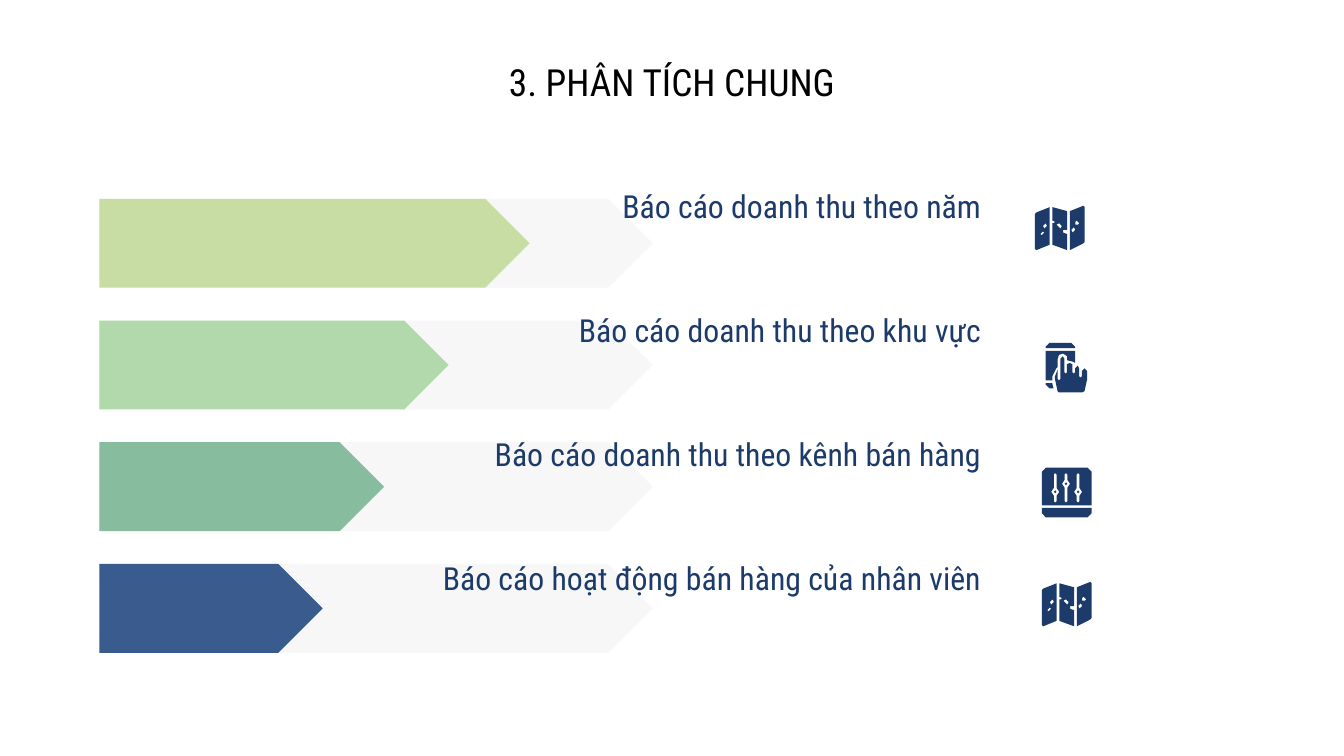
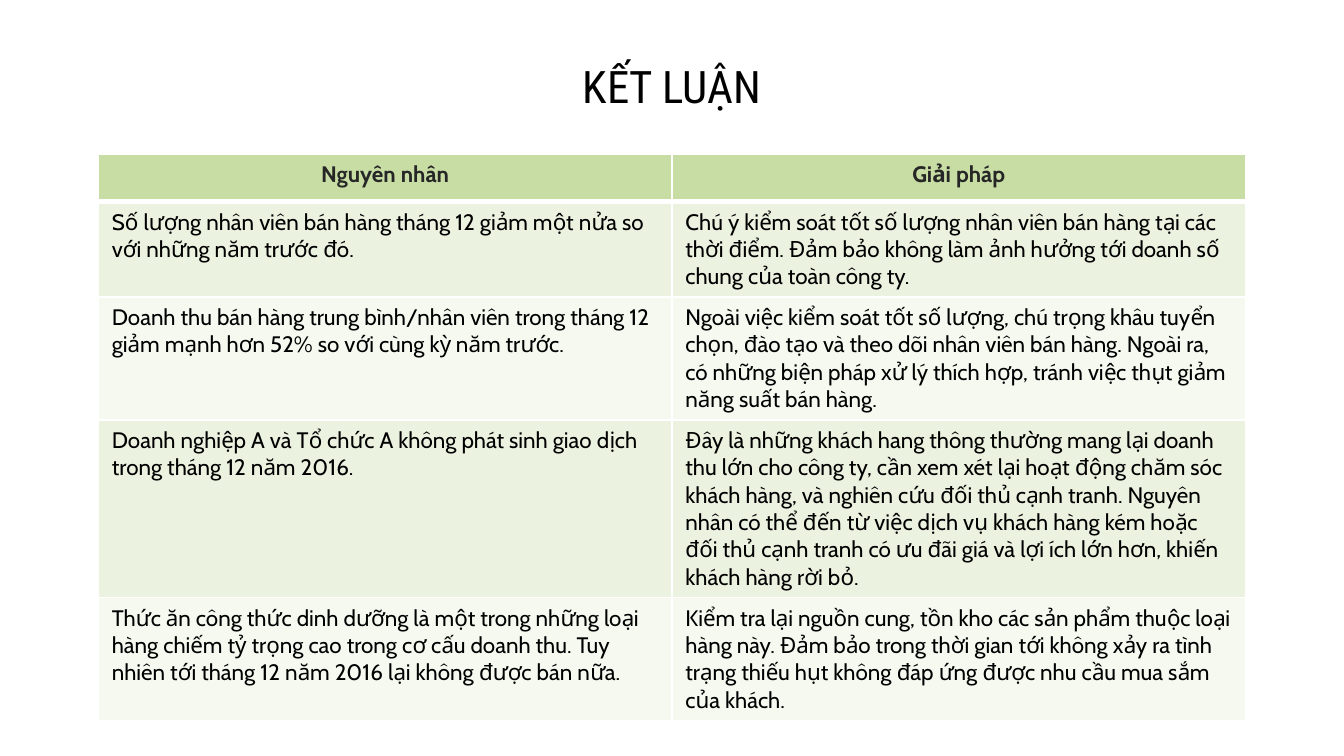
from lxml import etree
from pptx import Presentation
from pptx.dml.color import RGBColor
from pptx.enum.shapes import MSO_SHAPE
from pptx.enum.text import MSO_ANCHOR, MSO_AUTO_SIZE, PP_ALIGN
from pptx.oxml.ns import qn
from pptx.util import Cm, Pt

ARROW = MSO_SHAPE.PENTAGON
TOP, MIDDLE = MSO_ANCHOR.TOP, MSO_ANCHOR.MIDDLE
FIXED = MSO_AUTO_SIZE.NONE
LEFT, CENTER, RIGHT = PP_ALIGN.LEFT, PP_ALIGN.CENTER, PP_ALIGN.RIGHT

BLACK = RGBColor(0x00, 0x00, 0x00)
WHITE = RGBColor(0xFF, 0xFF, 0xFF)
DARK = RGBColor(0x26, 0x26, 0x26)
NAVY = RGBColor(0x1C, 0x3B, 0x6A)
TRACK = RGBColor(0xF7, 0xF7, 0xF7)
LIME = RGBColor(0xC8, 0xDD, 0xA4)
MINT = RGBColor(0xB2, 0xD9, 0xAB)
JADE = RGBColor(0x87, 0xBC, 0x9E)
BLUE = RGBColor(0x39, 0x5B, 0x8E)
BANDS = [RGBColor(0xEB, 0xF2, 0xE0), RGBColor(0xF5, 0xF9, 0xF0)]

HEAD_FONT = "Roboto Condensed"
BODY_FONT = "Cabin"


def slot(x, y):
    return [(x - 1, 5), (x, 4), (x + 1, 5), (x + 1, y - 3), (x + 3, y),
            (x + 1, y + 3), (x + 1, 25), (x, 26), (x - 1, 25),
            (x - 1, y + 3), (x - 3, y), (x - 1, y - 3)]


def knob(x, y):
    return [(x - 1, y), (x, y - 1), (x + 1, y), (x, y + 1)]


KNOBS = [(10, 18), (18, 12), (27, 18)]

MAP = [
    [[(11, 1), (1, 5), (0, 6), (0, 32), (1, 33), (11, 29)],
     [(8, 13), (9, 15), (7, 17), (6, 15)],
     [(6, 19), (7, 20), (5, 22), (4, 21)]],
    [[(13, 1), (13, 11), (15, 12), (14, 13), (13, 13), (13, 29), (24, 33),
      (24, 21), (21, 20), (21, 18), (24, 18), (24, 4)],
     [(18, 13), (20, 15), (19, 17), (18, 16), (16, 14)]],
    [[(36, 0), (26, 4), (26, 33), (36, 28), (37, 27), (37, 1)],
     [(31, 11), (33, 13), (32, 14), (30, 14), (30, 12)],
     [(29, 16), (30, 18), (28, 20), (27, 18)]],
]
PHONE = [
    [[(0, 30), (0, 31), (3, 34), (6, 34), (5, 30)]],
    [[(0, 6), (0, 28), (5, 28), (5, 25), (8, 19), (9, 18), (9, 12),
      (10, 9), (13, 8), (16, 10), (16, 13), (20, 14), (22, 15), (22, 6)]],
    [[(3, 0), (0, 3), (0, 4), (22, 4), (22, 3), (19, 0)]],
    [[(13, 10), (11, 12), (11, 27), (10, 28), (9, 27), (9, 20), (7, 25),
      (7, 27), (9, 36), (10, 37), (27, 37), (29, 36), (31, 27), (31, 21),
      (29, 19), (27, 21), (27, 25), (26, 26), (25, 25), (25, 19), (24, 17),
      (22, 19), (22, 22), (21, 23), (20, 22), (20, 16), (18, 15), (16, 16),
      (16, 22), (15, 23), (14, 22), (14, 12)]],
]
MIXER = [
    [[(0, 30), (0, 34), (3, 37), (34, 37), (37, 34), (37, 30)]],
    [[(3, 0), (0, 3), (0, 28), (37, 28), (37, 3), (34, 0)]]
    + [slot(x, y) for x, y in KNOBS] + [knob(x, y) for x, y in KNOBS],
]

REPORTS = [
    ("Báo cáo doanh thu theo năm", 8.13, LIME, 10.03, MAP, (19.56, 3.89)),
    ("Báo cáo doanh thu theo khu vực", 6.6, MINT, 10.59, PHONE, (19.76, 6.48)),
    ("Báo cáo doanh thu theo kênh bán hàng", 5.38, JADE, 8.74, MIXER,
     (19.69, 8.84)),
    ("Báo cáo hoạt động bán hàng của nhân viên", 4.22, BLUE, 7.29, MAP,
     (19.69, 11)),
]
HEADS = ("Nguyên nhân", "Giải pháp")
CAUSES = [
    ("Số lượng nhân viên bán hàng tháng 12 giảm một nửa so với những năm "
     "trước đó.",
     "Chú ý kiểm soát tốt số lượng nhân viên bán hàng tại các thời điểm. Đảm "
     "bảo không làm ảnh hưởng tới doanh số chung của toàn công ty."),
    ("Doanh thu bán hàng trung bình/nhân viên trong tháng 12 giảm mạnh hơn "
     "52% so với cùng kỳ năm trước.",
     "Ngoài việc kiểm soát tốt số lượng, chú trọng khâu tuyển chọn, đào tạo "
     "và theo dõi nhân viên bán hàng. Ngoài ra, có những biện pháp xử lý "
     "thích hợp, tránh việc thụt giảm năng suất bán hàng."),
    ("Doanh nghiệp A và Tổ chức A không phát sinh giao dịch trong tháng 12 "
     "năm 2016.",
     "Đây là những khách hang thông thường mang lại doanh thu lớn cho công "
     "ty, cần xem xét lại hoạt động chăm sóc khách hàng, và nghiên cứu đối "
     "thủ cạnh tranh. Nguyên nhân có thể đến từ việc dịch vụ khách hàng kém "
     "hoặc đối thủ cạnh tranh có ưu đãi giá và lợi ích lớn hơn, khiến khách "
     "hàng rời bỏ."),
    ("Thức ăn công thức dinh dưỡng là một trong những loại hàng chiếm tỷ "
     "trọng cao trong cơ cấu doanh thu. Tuy nhiên tới tháng 12 năm 2016 lại "
     "không được bán nữa.",
     "Kiểm tra lại nguồn cung, tồn kho các sản phẩm thuộc loại hàng này. Đảm "
     "bảo trong thời gian tới không xảy ra tình trạng thiếu hụt không đáp "
     "ứng được nhu cầu mua sắm của khách."),
]


def write(frame, text, font, size, color, align, bold=False):
    frame.text = text
    line = frame.paragraphs[0]
    line.alignment = align
    for run in line.runs:
        run.font.name = font
        run.font.size = Pt(size)
        run.font.bold = bold
        run.font.color.rgb = color


def fit(frame, anchor):
    frame.word_wrap = True
    frame.auto_size = FIXED
    frame.vertical_anchor = anchor
    frame.margin_left = frame.margin_right = Cm(0.25)
    frame.margin_top = frame.margin_bottom = Cm(0.25)


def paint(shape, color):
    shape.shadow.inherit = False
    shape.fill.solid()
    shape.fill.fore_color.rgb = color
    shape.line.fill.background()


def add_slide(deck, text, size):
    slide = deck.slides.add_slide(deck.slide_layouts[5])
    title = slide.shapes.title
    title.left, title.top = Cm(0.5), Cm(0.86)
    title.width, title.height = Cm(24.4), Cm(1.6)
    fit(title.text_frame, TOP)
    write(title.text_frame, text, HEAD_FONT, size, BLACK, CENTER)
    return slide


def add_bar(slide, top, width, color):
    bar = slide.shapes.add_shape(ARROW, Cm(1.88), Cm(top), Cm(width), Cm(1.68))
    bar.adjustments[0] = 0.5
    paint(bar, color)


def add_icon(slide, parts, left, top):
    group = slide.shapes.add_group_shape()
    scale = Cm(0.94) / 37
    for part in parts:
        pen = group.shapes.build_freeform(*part[0][0], scale=scale)
        pen.add_line_segments(part[0][1:], close=True)
        for hole in part[1:]:
            pen.move_to(*hole[0])
            pen.add_line_segments(hole[1:], close=True)
        paint(pen.convert_to_shape(Cm(left), Cm(top)), NAVY)


def add_edge(cell, side, width):
    props = cell._tc.get_or_add_tcPr()
    line = etree.SubElement(props, qn("a:" + side), w=str(Pt(width)))
    fill = etree.SubElement(line, qn("a:solidFill"))
    etree.SubElement(fill, qn("a:srgbClr"), val=str(WHITE))


def add_reports(deck):
    slide = add_slide(deck, "3. PHÂN TÍCH CHUNG", 20)
    tops = [3.76 + 2.3 * i for i in range(len(REPORTS))]
    for top in tops:
        add_bar(slide, top, 10.46, TRACK)
    for i, (text, width, color, left, icon, place) in enumerate(REPORTS):
        add_bar(slide, tops[i], width, color)
        label = slide.shapes.add_textbox(
            Cm(left), Cm(3.43 + 2.34 * i), Cm(18.8 - left), Cm(0.94))
        fit(label.text_frame, MIDDLE)
        write(label.text_frame, text, HEAD_FONT, 17, NAVY, RIGHT)
        add_icon(slide, icon, *place)


def add_causes(deck):
    slide = add_slide(deck, "KẾT LUẬN", 24)
    rows = [HEADS] + CAUSES
    table = slide.shapes.add_table(
        len(rows), 2, Cm(1.86), Cm(2.92), Cm(21.68), Cm(6.57)).table
    for i, row in enumerate(rows):
        head = i == 0
        table.rows[i].height = Cm(0.89 if head else 1.42)
        for j, text in enumerate(row):
            cell = table.cell(i, j)
            for side in ("lnL", "lnR", "lnT", "lnB"):
                thick = (i, side) in ((0, "lnB"), (1, "lnT"))
                add_edge(cell, side, 3 if thick else 1)
            cell.fill.solid()
            cell.fill.fore_color.rgb = LIME if head else BANDS[(i - 1) % 2]
            write(cell.text_frame, text, BODY_FONT, 12,
                  DARK if head else BLACK, CENTER if head else LEFT, head)


def main():
    deck = Presentation()
    deck.slide_width, deck.slide_height = Cm(25.4), Cm(14.29)
    add_reports(deck)
    add_causes(deck)
    deck.save("out.pptx")


if __name__ == "__main__":
    main()
